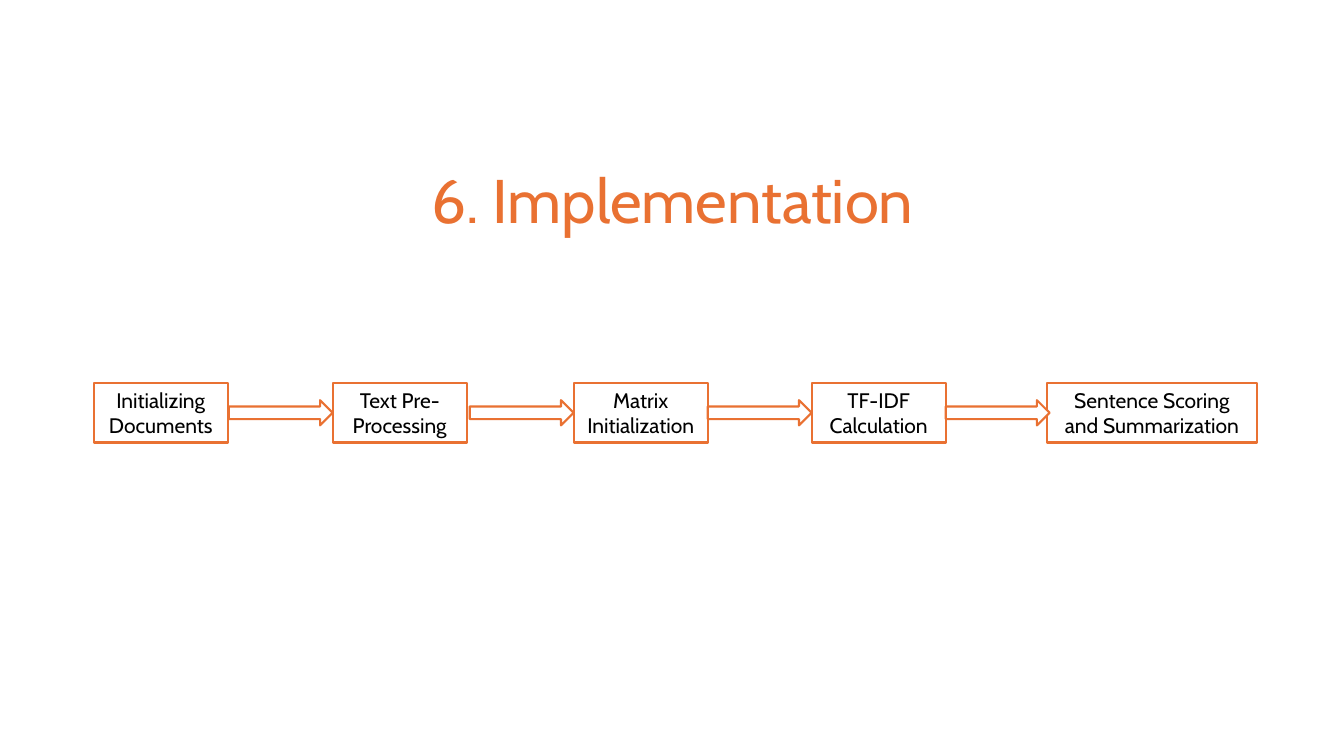
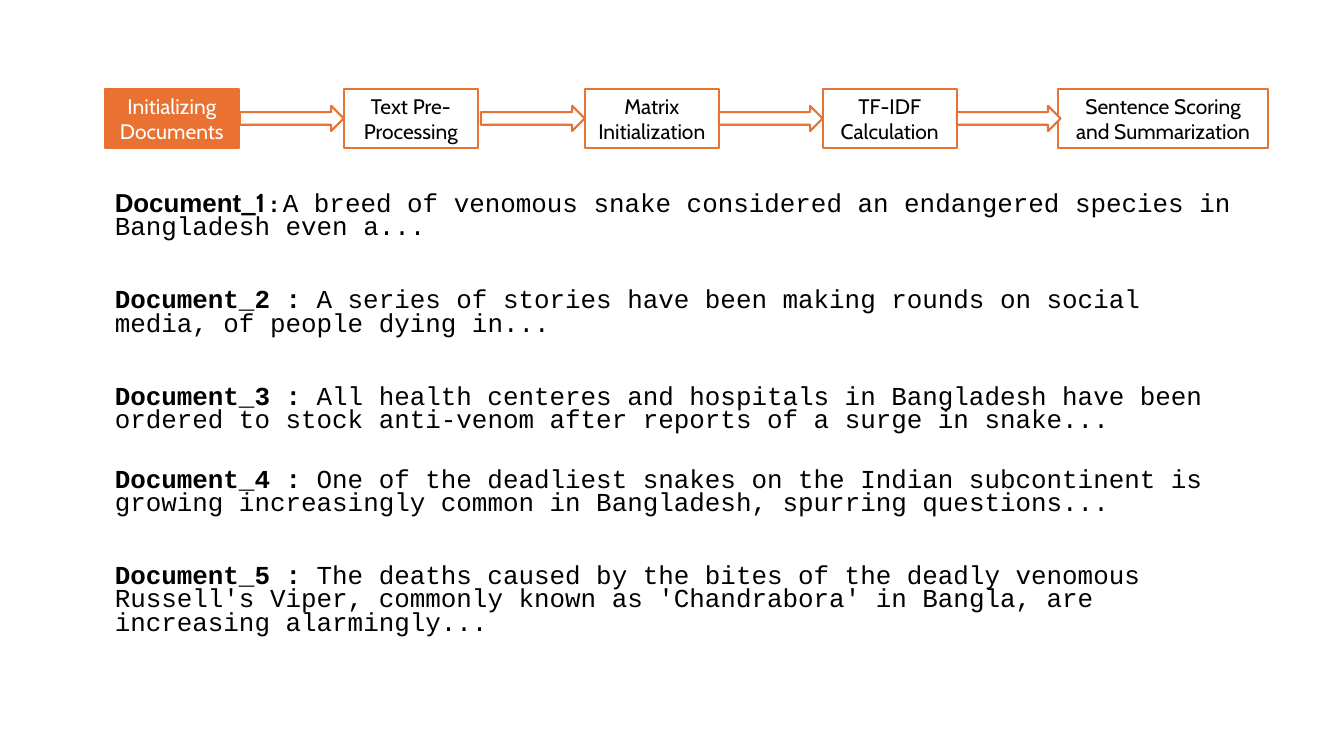
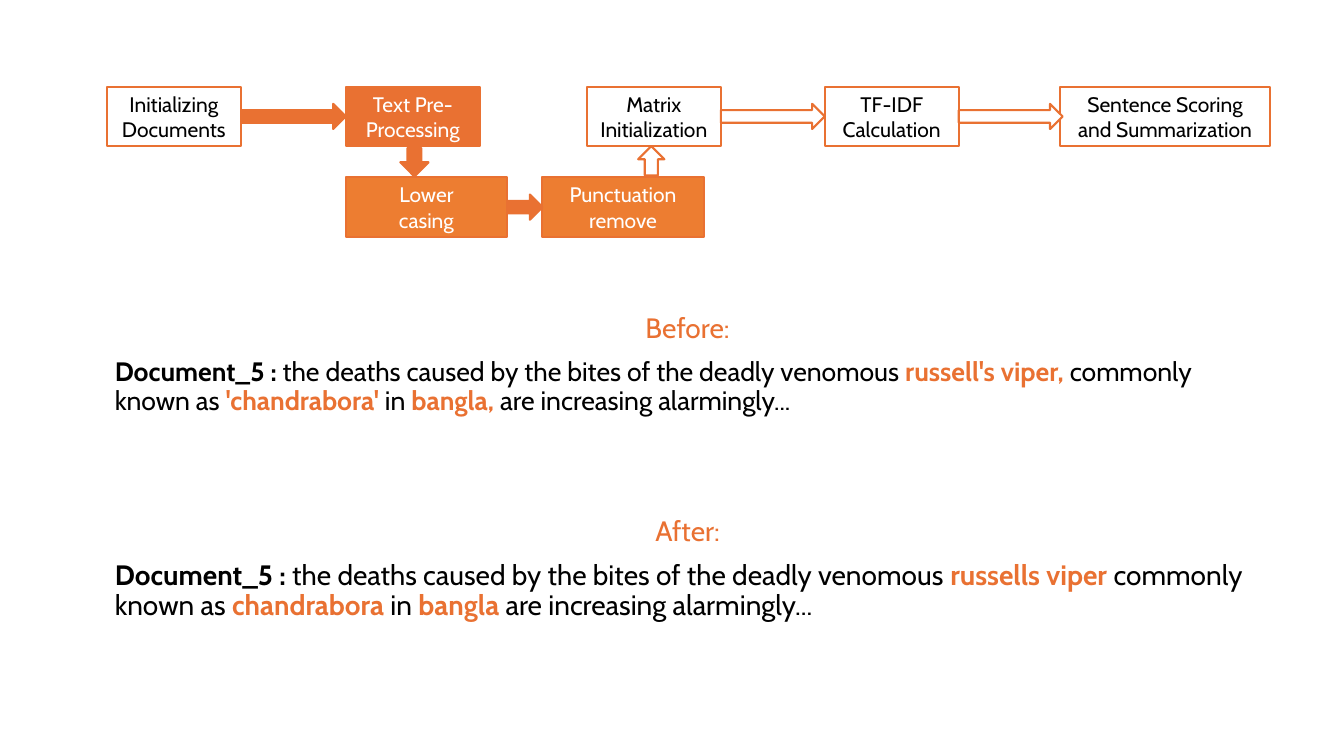
from pptx import Presentation
from pptx.dml.color import RGBColor
from pptx.enum.shapes import MSO_SHAPE as Preset
from pptx.enum.text import MSO_ANCHOR as Anchor, MSO_AUTO_SIZE as AutoSize, PP_ALIGN as Align
from pptx.util import Inches, Pt

ORANGE, AMBER, BLACK, WHITE = "E97132", "ED7D31", "000000", "FFFFFF"
SANS, MONO = "Cabin", "Courier New"
TITLE_ONLY, BLANK = 5, 6
BOX_HEIGHT = 0.59
STEPS = [
    ("Initializing Documents", 0, 1.33),
    ("Text Pre-Processing", 2.37, 1.33),
    ("Matrix Initialization", 4.76, 1.33),
    ("TF-IDF Calculation", 7.12, 1.33),
    ("Sentence Scoring and Summarization", 9.45, 2.09),
]
ARROW_LEFTS = [1.34, 3.73, 6.09, 8.45]
DOCUMENTS = [
    ([("Document", True, "Arial"), ("_1 : ", True, SANS)],
     "A breed of venomous snake considered an endangered species in Bangladesh even a...", 0),
    ([("Document_2 :", True, MONO)],
     " A series of stories have been making rounds on social media, of people dying in...", 35.7),
    ([("Document_3 :", True, MONO)],
     " All health centeres and hospitals in Bangladesh have been ordered to stock anti-venom "
     "after reports of a surge in snake...", 35.7),
    ([("Document_4 :", True, MONO)],
     " One of the deadliest snakes on the Indian subcontinent is growing increasingly common "
     "in Bangladesh, spurring questions...", 25.7),
    ([("Document_5 :", True, MONO)],
     " The deaths caused by the bites of the deadly venomous Russell's Viper, commonly known "
     "as 'Chandrabora' in Bangla, are increasing alarmingly...", 35.7),
]
EXAMPLES = [
    ("Before:", 3.07, 19, ["russell's viper,", "'chandrabora'", "bangla,"]),
    ("After:", 5.08, 20, ["russells viper", "chandrabora", "bangla"]),
]


def color(code):
    """Turn a hex string into a colour."""
    return RGBColor.from_string(code)


class Deck:
    """Holds the shared style and the current slide."""

    def __init__(self):
        """Start an empty widescreen deck."""
        self.deck = Presentation()
        self.deck.slide_width, self.deck.slide_height = Inches(13.33), Inches(7.5)
        self.page = None

    def add_page(self, layout=BLANK):
        """Start a new slide."""
        self.page = self.deck.slides.add_slide(self.deck.slide_layouts[layout])

    def span(self, para, text, size, ink=BLACK, bold=False, font=SANS):
        """Add one formatted run to a paragraph."""
        span = para.add_run()
        span.text = text
        span.font.name, span.font.size, span.font.bold = font, Pt(size), bold
        span.font.color.rgb = color(ink)

    def para(self, frame, index, align=Align.LEFT, spacing=1.0, before=0):
        """Return a formatted paragraph, using the first one if it is free."""
        para = frame.add_paragraph() if index else frame.paragraphs[0]
        para.alignment, para.line_spacing, para.space_before = align, spacing, Pt(before)
        return para

    def title(self, text, left, top, width, height):
        """Place and fill the title placeholder."""
        box = self.page.shapes.title
        box.left, box.top, box.width, box.height = map(Inches, (left, top, width, height))
        frame = box.text_frame
        frame.auto_size, frame.vertical_anchor = AutoSize.NONE, Anchor.MIDDLE
        self.span(self.para(frame, 0, Align.CENTER, 0.9), text, 44, ORANGE)

    def text_box(self, left, top, width, height):
        """Add a wrapping text box and return its frame."""
        box = self.page.shapes.add_textbox(*map(Inches, (left, top, width, height)))
        box.text_frame.word_wrap = True
        return box.text_frame

    def shape(self, preset, left, top, width, height, fill=WHITE):
        """Add an outlined shape."""
        box = self.page.shapes.add_shape(preset, *map(Inches, (left, top, width, height)))
        box.shadow.inherit = False
        box.fill.solid()
        box.fill.fore_color.rgb = color(fill)
        box.line.color.rgb = color(ORANGE)
        box.line.width = Pt(1.5)
        return box

    def step(self, lines, left, top, width, fill=WHITE):
        """Add a process box with centred lines of text."""
        frame = self.shape(Preset.RECTANGLE, left, top, width, BOX_HEIGHT, fill).text_frame
        frame.word_wrap, frame.vertical_anchor = True, Anchor.MIDDLE
        for index, line in enumerate(lines):
            ink = BLACK if fill == WHITE else WHITE
            self.span(self.para(frame, index, Align.CENTER), line, 15, ink)

    def process(self, left, top, active=None, skipped_arrow=None, filled_arrow=None):
        """Draw the five-step process with its arrows."""
        for index, (label, offset, width) in enumerate(STEPS):
            fill = ORANGE if index == active else WHITE
            self.step([label], left + offset, top, width, fill)
        for index, offset in enumerate(ARROW_LEFTS):
            if index != skipped_arrow:
                fill = ORANGE if index == filled_arrow else WHITE
                self.shape(Preset.RIGHT_ARROW, left + offset, top + 0.17, 1.03, 0.25, fill)

    def example(self, heading, top, size, words):
        """Add a heading and a sentence with highlighted words."""
        frame = self.text_box(1.04, top, 11.56, 1.59)
        self.span(self.para(frame, 0, Align.CENTER, 0.9), heading, 20, ORANGE)
        para = self.para(frame, 1, spacing=0.9, before=10)
        self.span(para, "Document_5 :", size, bold=True)
        leads = [" the deaths caused by the bites of the deadly venomous ",
                 " commonly known as ", " in "]
        for lead, word in zip(leads, words):
            self.span(para, lead, size)
            self.span(para, word, size, ORANGE, True)
        self.span(para, " are increasing alarmingly...", size)


def main():
    """Build and save the three slides."""
    deck = Deck()

    deck.add_page(TITLE_ONLY)
    deck.title("6. Implementation", 0.92, 1.29, 11.5, 1.45)
    deck.process(0.93, 3.8)

    deck.add_page()
    frame = deck.text_box(1.04, 1.87, 11.4, 4.6)
    for index, (labels, body, before) in enumerate(DOCUMENTS):
        para = deck.para(frame, index, spacing=0.75, before=before)
        for text, bold, font in labels + [(body, False, MONO)]:
            deck.span(para, text, 18.5, bold=bold, font=font)
    deck.process(1.04, 0.88, active=0)

    deck.add_page()
    for example in EXAMPLES:
        deck.example(*example)
    deck.process(1.06, 0.86, active=1, skipped_arrow=1, filled_arrow=0)
    deck.step(["Lower", "casing"], 3.43, 1.76, 1.6, AMBER)
    deck.step(["Punctuation", "remove"], 5.38, 1.76, 1.6, AMBER)
    deck.shape(Preset.DOWN_ARROW, 3.97, 1.47, 0.28, 0.28, ORANGE)
    deck.shape(Preset.RIGHT_ARROW, 5.03, 1.93, 0.35, 0.25, ORANGE)
    deck.shape(Preset.UP_ARROW, 6.33, 1.45, 0.26, 0.29)

    deck.deck.save("out.pptx")


if __name__ == "__main__":
    main()
